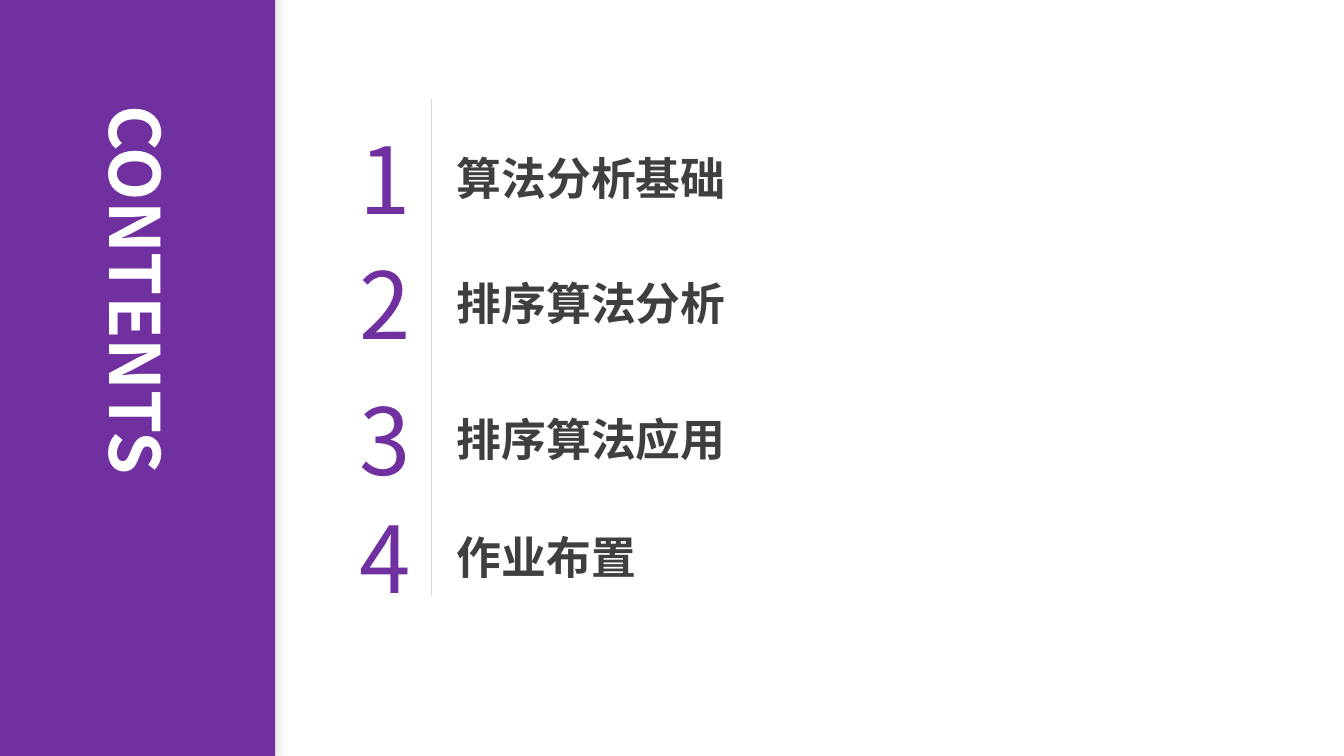
"""Builds a contents slide with a purple side band and four numbered topics."""
from dataclasses import dataclass

from lxml.etree import SubElement
from pptx import Presentation
from pptx.dml.color import RGBColor
from pptx.enum.shapes import MSO_CONNECTOR, MSO_SHAPE
from pptx.enum.text import MSO_ANCHOR, MSO_AUTO_SIZE, PP_ALIGN
from pptx.oxml.ns import qn
from pptx.util import Inches, Pt


@dataclass(frozen=True)
class Theme:
    font: str = "Noto Sans CJK JP"
    purple: str = "7030A0"
    ink: str = "3F403E"
    grey: str = "969F98"
    white: str = "FFFFFF"
    number_size: float = 66
    topic_size: float = 32
    heading_size: float = 49.5


theme = Theme()
deck = Presentation()
deck.slide_width, deck.slide_height = Inches(13.33), Inches(7.5)
page = deck.slides.add_slide(deck.slide_layouts[6])


def add_text(words, left, top, width, height, size, color, bold=False):
    """Adds a one-line text box and returns it with its paragraph and run."""
    box = page.shapes.add_textbox(Inches(left), Inches(top), Inches(width), Inches(height))
    frame = box.text_frame
    frame.word_wrap = True
    frame.auto_size = MSO_AUTO_SIZE.SHAPE_TO_FIT_TEXT
    frame.vertical_anchor = MSO_ANCHOR.MIDDLE
    para = frame.paragraphs[0]
    span = para.add_run()
    span.text = words
    span.font.name = theme.font
    span.font.size = Pt(size)
    span.font.bold = bold
    span.font.color.rgb = RGBColor.from_string(color)
    SubElement(span.font._element, qn("a:ea"), typeface=theme.font)
    return box, para, span


def add_grey(parent):
    """Adds the translucent grey colour to a fill or an effect."""
    color = SubElement(parent, qn("a:srgbClr"), val=theme.grey)
    SubElement(color, qn("a:alpha"), val="40000")


number_left, number_width, number_height = 3.47, 0.62, 1.21
divider_left, divider_top, divider_bottom = 4.28, 0.98, 5.91
topic_left, topic_width, topic_height = 4.43, 3.88, 0.64
band_width, band_bleed = 2.73, 0.08
heading_width, heading_height, heading_middle = 5.62, 0.93, 3.755

divider = page.shapes.add_connector(
    MSO_CONNECTOR.STRAIGHT,
    Inches(divider_left), Inches(divider_top), Inches(divider_left), Inches(divider_bottom),
)
divider.line.width = Pt(0.5)
divider.line.fill.solid()
divider.line.color.rgb = RGBColor.from_string(theme.grey)
divider_color = divider.line._ln.find(qn("a:solidFill")).find(qn("a:srgbClr"))
SubElement(divider_color, qn("a:alpha"), val="40000")
SubElement(divider._element.spPr, qn("a:effectLst"))

band = page.shapes.add_shape(
    MSO_SHAPE.RECTANGLE,
    0, Inches(-band_bleed), Inches(band_width), deck.slide_height + Inches(2 * band_bleed),
)
band.shadow.inherit = False
band.fill.solid()
band.fill.fore_color.rgb = RGBColor.from_string(theme.purple)
band.line.fill.background()
effects = band._element.spPr.find(qn("a:effectLst"))
add_grey(SubElement(effects, qn("a:outerShdw"), blurRad=str(Pt(10)), dist="0", dir="0"))

heading, _, _ = add_text(
    "CONTENTS",
    (band_width - heading_width) / 2, heading_middle - heading_height / 2,
    heading_width, heading_height, theme.heading_size, theme.white, bold=True,
)
heading.rotation = 90

topics = [
    ("算法分析基础", 1.76),
    ("排序算法分析", 3.0),
    ("排序算法应用", 4.35),
    ("作业布置", 5.52),
]
for number, (topic, middle) in enumerate(topics, start=1):
    _, para, span = add_text(
        str(number), number_left, middle - number_height / 2,
        number_width, number_height, theme.number_size, theme.purple,
    )
    para.alignment = PP_ALIGN.CENTER
    span.font._element.set("spc", "-220")
    add_text(
        topic, topic_left, middle - topic_height / 2,
        topic_width, topic_height, theme.topic_size, theme.ink, bold=True,
    )

deck.save("out.pptx")
